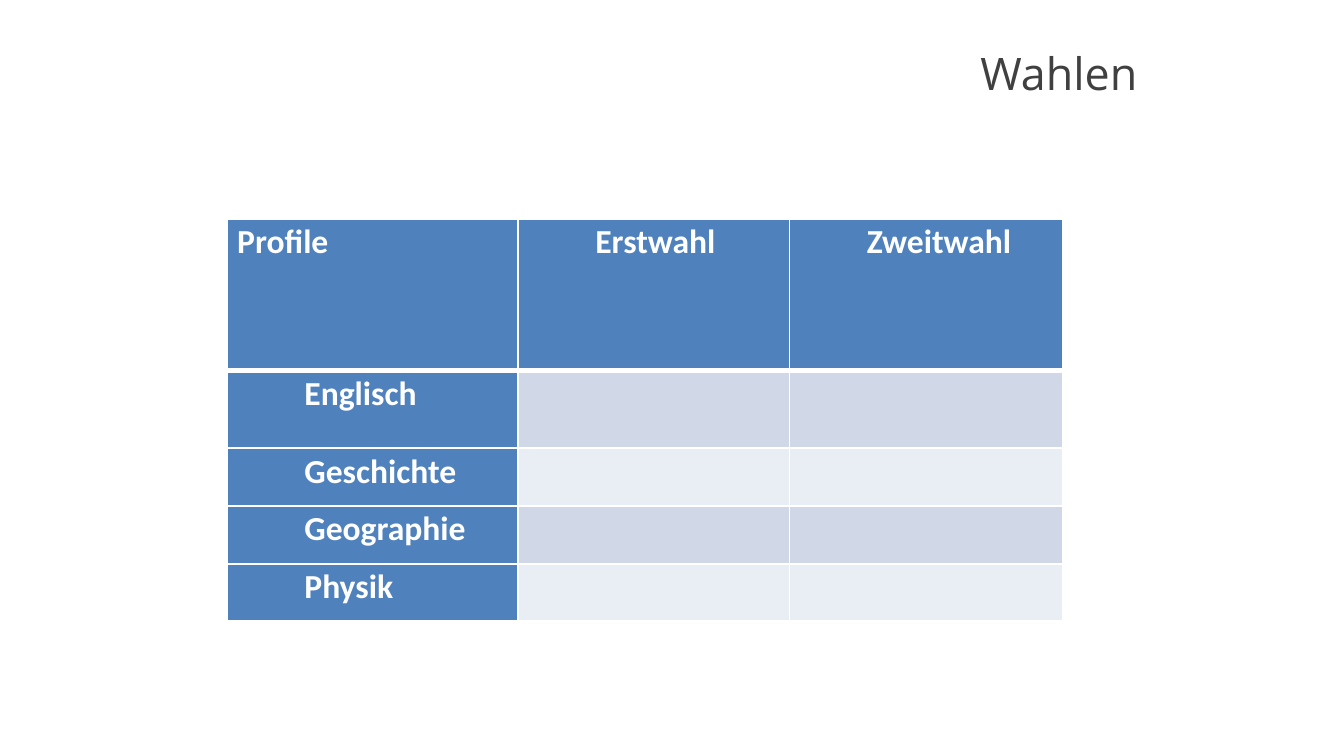
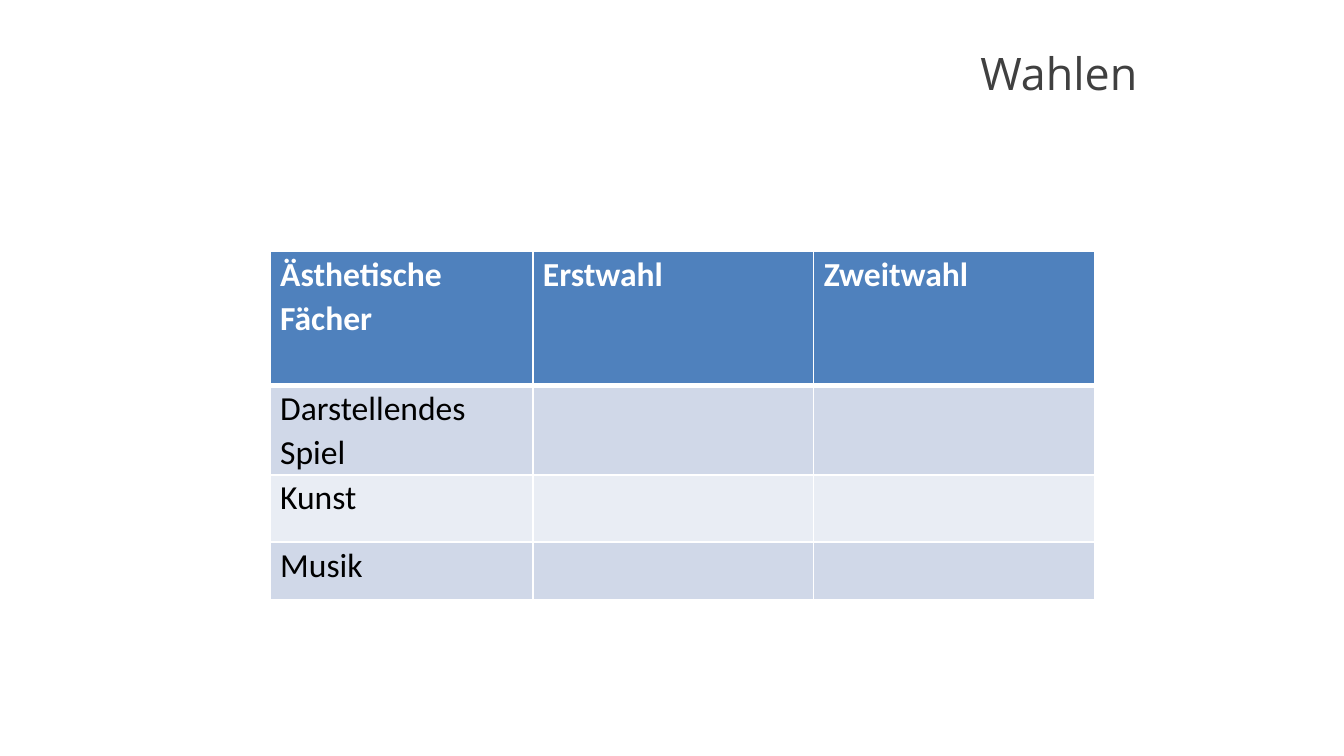
from lxml import etree
from pptx import Presentation
from pptx.dml.color import RGBColor
from pptx.enum.text import MSO_ANCHOR, PP_ALIGN
from pptx.oxml.ns import qn
from pptx.util import Pt

PX = 4572  # EMU per px, 200 px to the inch
SLIDE_SIZE = (2000, 1125)
TITLE_BOX = (648, 52, 1064, 112)
CELL_SIDE = 15
INDENT = 100

WHITE = RGBColor(0xFF, 0xFF, 0xFF)
BLACK = RGBColor(0x00, 0x00, 0x00)
TITLE_GREY = RGBColor(0x40, 0x40, 0x40)
BLUE = RGBColor(0x4F, 0x81, 0xBD)
BANDS = (RGBColor(0xD0, 0xD8, 0xE8), RGBColor(0xE9, 0xED, 0xF4))

TITLE_FONT, TABLE_FONT = "Open Sans", "Calibri"
MIDDLE, RIGHT = MSO_ANCHOR.MIDDLE, PP_ALIGN.RIGHT

TITLE = "Wahlen"
CHOICES = ("Erstwahl", "Zweitwahl")
BALLOTS = [
    {
        "heading": "Profile",
        "subjects": ["Englisch", "Geschichte", "Geographie", "Physik"],
        "corner": (338, 326),
        "columns": (433, 404, 407),
        "rows": (226, 115, 86, 86, 85),
        "blue_subjects": True,
        "indent": INDENT,
    },
    {
        "heading": "Ästhetische Fächer",
        "subjects": ["Darstellendes Spiel", "Kunst", "Musik"],
        "corner": (402, 374),
        "columns": (391, 418, 419),
        "rows": (200, 133, 100, 86),
        "blue_subjects": False,
        "indent": 0,
    },
]


def px(*lengths):
    return [length * PX for length in lengths]


def add_run(paragraph, text, font, size, color, bold=False):
    run = paragraph.add_run()
    run.text = text
    run.font.name = font
    run.font.size = Pt(size)
    run.font.color.rgb = color
    run.font.bold = bold


def add_title(slide):
    box = slide.shapes.add_textbox(*px(*TITLE_BOX))
    box.fill.solid()
    box.fill.fore_color.rgb = WHITE
    frame = box.text_frame
    frame.word_wrap = True
    frame.vertical_anchor = MIDDLE
    paragraph = frame.paragraphs[0]
    paragraph.alignment = RIGHT
    add_run(paragraph, TITLE, TITLE_FONT, 24, TITLE_GREY)


def set_borders(cell, row):
    """White rules, thicker between the header and the first subject."""
    widths = {"lnL": 1, "lnR": 1, "lnT": 3 if row == 1 else 1, "lnB": 3 if row == 0 else 1}
    properties = cell._tc.get_or_add_tcPr()
    for position, (side, width) in enumerate(widths.items()):
        line = etree.Element(qn("a:" + side), w=str(Pt(width)))
        fill = etree.SubElement(line, qn("a:solidFill"))
        etree.SubElement(fill, qn("a:srgbClr"), val=str(WHITE))
        properties.insert(position, line)


def write_cell(cell, text, color, bold, indent):
    cell.margin_left = cell.margin_right = CELL_SIDE * PX
    cell.margin_top = cell.margin_bottom = 0
    paragraph = cell.text_frame.paragraphs[0]
    paragraph.line_spacing = 1.07
    paragraph.space_after = Pt(0 if indent else 8)
    if indent:
        properties = paragraph._p.get_or_add_pPr()
        properties.set("marL", str(indent * PX))
        properties.set("indent", "0")
    add_run(paragraph, text, TABLE_FONT, 18, color, bold)


def add_ballot(slide, ballot):
    columns, rows = ballot["columns"], ballot["rows"]
    size = (sum(columns), sum(rows))
    table = slide.shapes.add_table(
        len(rows), len(columns), *px(*ballot["corner"], *size)
    ).table
    for column, width in zip(table.columns, px(*columns)):
        column.width = width
    for row, height in zip(table.rows, px(*rows)):
        row.height = height

    texts = [(ballot["heading"], *CHOICES)]
    texts += [(subject, "", "") for subject in ballot["subjects"]]
    for r, line in enumerate(texts):
        for c, text in enumerate(line):
            cell = table.cell(r, c)
            is_blue = r == 0 or (c == 0 and ballot["blue_subjects"])
            cell.fill.solid()
            cell.fill.fore_color.rgb = BLUE if is_blue else BANDS[(r - 1) % 2]
            set_borders(cell, r)
            if text:
                indent = ballot["indent"] if (r, c) != (0, 0) else 0
                write_cell(cell, text, WHITE if is_blue else BLACK, is_blue, indent)


def main():
    deck = Presentation()
    deck.slide_width, deck.slide_height = px(*SLIDE_SIZE)
    blank = deck.slide_layouts[6]
    for ballot in BALLOTS:
        slide = deck.slides.add_slide(blank)
        add_title(slide)
        add_ballot(slide, ballot)
    deck.save("out.pptx")


if __name__ == "__main__":
    main()
